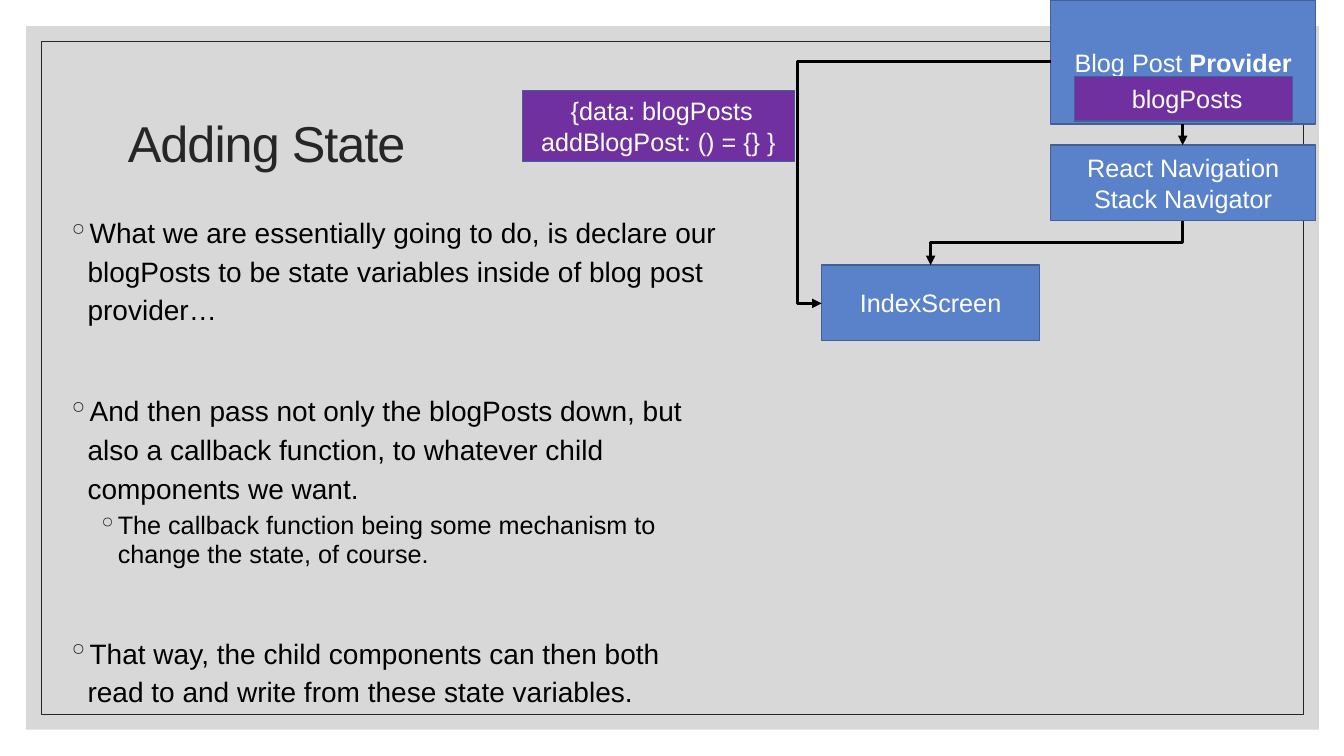
import dataclasses

import lxml.etree
import pptx
import pptx.dml.color
import pptx.enum.shapes
import pptx.enum.text
import pptx.oxml.ns
import pptx.util

Inches, Pt = pptx.util.Inches, pptx.util.Pt
BLUE, PURPLE, EDGE = "5A82CB", "7030A0", "436096"
DARK, BLACK, WHITE = "262626", "000000", "FFFFFF"


@dataclasses.dataclass
class Box:
    """A filled box; each line is a list of (text, bold) runs."""
    area: tuple
    fill: str
    lines: list


@dataclasses.dataclass
class Link:
    """An arrow between two points, given before it is turned."""
    start: tuple
    end: tuple
    bent: bool = True
    turn: int = 0
    bend: float = 0.5


@dataclasses.dataclass
class Point:
    """A bullet of the body text."""
    text: str
    before: float
    indent: float = 0.2
    size: int = 20
    pitch: float = 1.15


BOXES = [
    Box((10.42, 1.44, 2.63, 0.75), BLUE, [[("React Navigation Stack Navigator", False)]]),
    Box((8.15, 2.63, 2.16, 0.75), BLUE, [[("IndexScreen", False)]]),
    Box((10.42, 0, 2.63, 1.23), BLUE, [[("Blog Post ", False), ("Provider", True)]]),
    Box((10.66, 0.76, 2.16, 0.44), PURPLE, [[(" blogPosts", False)]]),
    Box((5.18, 0.9, 2.7, 0.7), PURPLE,
        [[(" {data: blogPosts", False)], [("addBlogPost: () = {} }", False)]]),
]

LINKS = [
    Link((10.26, 1.16), (10.7, 3.66), turn=90),
    Link((11.73, 1.23), (11.73, 1.44), bent=False),
    Link((10.42, 0.61), (8.15, 3.01), bend=1.106),
]

GAP = 44.4
POINTS = [
    Point("What we are essentially going to do, is declare our blogPosts to be "
          "state variables inside of blog post provider…", 0),
    Point("And then pass not only the blogPosts down, but also a callback function, "
          "to whatever child components we want.", GAP),
    Point("The callback function being some mechanism to change the state, of course.",
          5, indent=0.5, size=18, pitch=0.95),
    Point("That way, the child components can then both read to and write from "
          "these state variables.", GAP),
]


def tint(hue: str) -> pptx.dml.color.RGBColor:
    return pptx.dml.color.RGBColor.from_string(hue)


def apply(item, values: dict) -> None:
    for name, value in values.items():
        setattr(item, name, value)


def child(parent, tag: str, **attrs: str):
    return lxml.etree.SubElement(parent, pptx.oxml.ns.qn(tag), attrs)


def write(para, text: str, size: int, hue: str, bold: bool = False):
    run = para.add_run()
    run.text = text
    apply(run.font, {"name": "Arial", "size": Pt(size), "bold": bold})
    run.font.color.rgb = tint(hue)
    return run


def rect(slide, area: tuple, fill: str = "", edge: str = "", width: float = 1):
    shape = slide.shapes.add_shape(
        pptx.enum.shapes.MSO_SHAPE.RECTANGLE, *map(Inches, area))
    shape.shadow.inherit = False
    if fill:
        shape.fill.solid()
        shape.fill.fore_color.rgb = tint(fill)
    else:
        shape.fill.background()
    if edge:
        shape.line.color.rgb = tint(edge)
        shape.line.width = Pt(width)
    else:
        shape.line.fill.background()
    return shape


def panel(slide, area: tuple, anchor):
    frame = slide.shapes.add_textbox(*map(Inches, area)).text_frame
    apply(frame, {"word_wrap": True, "vertical_anchor": anchor})
    return frame


def draw_box(slide, box: Box) -> None:
    frame = rect(slide, box.area, box.fill, EDGE).text_frame
    apply(frame, {"word_wrap": True, "vertical_anchor": pptx.enum.text.MSO_ANCHOR.MIDDLE})
    for i, line in enumerate(box.lines):
        para = frame.add_paragraph() if i else frame.paragraphs[0]
        para.alignment = pptx.enum.text.PP_ALIGN.CENTER
        for text, bold in line:
            write(para, text, 18, WHITE, bold)


def draw_link(slide, link: Link) -> None:
    kinds = pptx.enum.shapes.MSO_CONNECTOR
    arrow = slide.shapes.add_connector(
        kinds.ELBOW if link.bent else kinds.STRAIGHT,
        *map(Inches, link.start + link.end))
    arrow.line.color.rgb = tint(BLACK)
    arrow.line.width = Pt(2.25)
    child(arrow.line._get_or_add_ln(), "a:tailEnd", type="triangle")
    props = arrow._element.spPr
    child(props, "a:effectLst")
    if link.turn:
        props.find(pptx.oxml.ns.qn("a:xfrm")).set("rot", str(link.turn * 60000))
    if link.bent:
        guides = props.find(".//" + pptx.oxml.ns.qn("a:avLst"))
        child(guides, "a:gd", name="adj1", fmla=f"val {round(link.bend * 100000)}")


def draw_point(para, point: Point) -> None:
    props = para._p.get_or_add_pPr()
    apply_indent = {"marL": Inches(point.indent), "indent": Inches(-0.2)}
    for name, value in apply_indent.items():
        props.set(name, str(value))
    child(child(props, "a:buClr"), "a:srgbClr", val=DARK)
    child(props, "a:buChar", char="◦")
    apply(para, {"line_spacing": point.pitch, "space_before": Pt(point.before),
                 "level": int(point.indent > 0.2)})
    write(para, point.text, point.size, BLACK)


deck = pptx.Presentation()
apply(deck, {"slide_width": Inches(13.33), "slide_height": Inches(7.5)})
slide = deck.slides.add_slide(deck.slide_layouts[6])

# Grey backdrop and thin frame
back = rect(slide, (0.26, 0.26, 12.82, 6.98), "BFBFBF")
shade = back._element.spPr.find(".//" + pptx.oxml.ns.qn("a:srgbClr"))
child(shade, "a:alpha", val="60000")
rect(slide, (0.41, 0.41, 12.52, 6.68), edge=DARK, width=0.5)

# Title
head = panel(slide, (1.17, 0.7, 11, 1.5), pptx.enum.text.MSO_ANCHOR.MIDDLE).paragraphs[0]
head.line_spacing = 0.9
title = write(head, "Adding State", 36, DARK)
title._r.get_or_add_rPr().set("spc", "-70")

# Body bullets
body = panel(slide, (0.57, 2.04, 6.7, 5.13), pptx.enum.text.MSO_ANCHOR.TOP)
for i, point in enumerate(POINTS):
    draw_point(body.add_paragraph() if i else body.paragraphs[0], point)

# Component diagram
for box in BOXES:
    draw_box(slide, box)
for link in LINKS:
    draw_link(slide, link)

deck.save("out.pptx")
